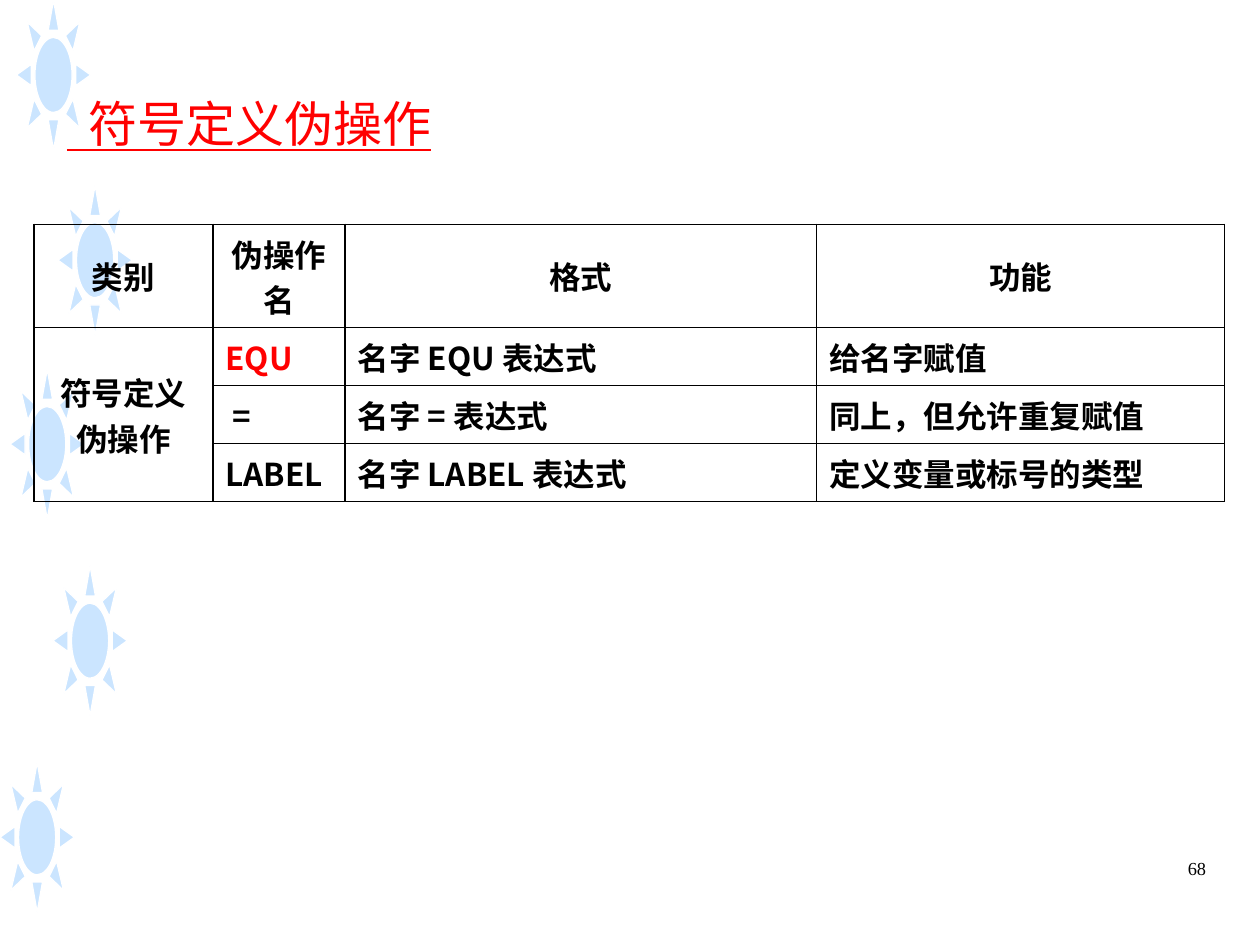
"""Build the slide on symbol definition directives."""
from lxml import etree
from pptx import Presentation
from pptx.dml.color import RGBColor
from pptx.enum.shapes import MSO_SHAPE
from pptx.enum.text import MSO_ANCHOR, PP_ALIGN
from pptx.oxml.ns import qn
from pptx.util import Inches, Pt

SUN = MSO_SHAPE.SUN
TOP, MIDDLE = MSO_ANCHOR.TOP, MSO_ANCHOR.MIDDLE
LEFT, CENTER, RIGHT = PP_ALIGN.LEFT, PP_ALIGN.CENTER, PP_ALIGN.RIGHT
BLACK = RGBColor(0, 0, 0)
RED = RGBColor(255, 0, 0)
SKY = RGBColor(153, 204, 255)
WHITE = RGBColor(255, 255, 255)
SANS, SERIF = "Noto Sans CJK SC", "Times New Roman"

SUNS = [(0.13, 0), (0.46, 1.47), (0.08, 2.93), (0.42, 4.49), (0, 6.05)]
COLS = [1.42, 1.05, 3.74, 3.24]
ROWS = [0.82, 0.46, 0.46, 0.46]
CELLS = [
    ["类别", "伪操作名", "格式", "功能"],
    ["符号定义伪操作", "EQU", "名字 EQU 表达式", "给名字赋值"],
    ["", " =", "名字 = 表达式", "同上，但允许重复赋值"],
    ["", "LABEL", "名字 LABEL 表达式", "定义变量或标号的类型"],
]


def style(item, **values):
    """Set each value as an attribute of the item."""
    for name, value in values.items():
        setattr(item, name, value)


def write(frame, text, align, color, **values):
    """Put one formatted line of text in the frame."""
    para = frame.paragraphs[0]
    para.alignment = align
    run = para.add_run()
    run.text = text
    style(run.font, **values)
    run.font.color.rgb = color
    east = etree.SubElement(run.font._element, qn("a:ea"))
    east.set("typeface", SANS)
    return para


def add_sun(slide, left, top):
    """Draw a half transparent sun."""
    sun = slide.shapes.add_shape(
        SUN, Inches(left), Inches(top), Inches(0.59), Inches(1.19))
    sun.shadow.inherit = False
    sun.fill.solid()
    sun.fill.fore_color.rgb = SKY
    tint = sun._element.spPr.find(qn("a:solidFill"))[0]
    etree.SubElement(tint, qn("a:alpha")).set("val", "50000")
    sun.line.color.rgb = WHITE
    sun.line.width = Pt(0.75)


def add_edges(cell):
    """Give the cell a thin black border on all sides."""
    props = cell._tc.get_or_add_tcPr()
    for side in ("lnL", "lnR", "lnT", "lnB"):
        line = etree.SubElement(props, qn("a:" + side), w=str(Pt(1)))
        fill = etree.SubElement(line, qn("a:solidFill"))
        etree.SubElement(fill, qn("a:srgbClr"), val=str(BLACK))


def add_grid(slide):
    """Add the table of directives."""
    grid = slide.shapes.add_table(
        len(ROWS), len(COLS), Inches(0.27), Inches(1.78),
        Inches(sum(COLS)), Inches(sum(ROWS))).table
    style(grid, first_row=False, horz_banding=False)
    for col, width in zip(grid.columns, COLS):
        col.width = Inches(width)
    for row, height in zip(grid.rows, ROWS):
        row.height = Inches(height)
    grid.cell(1, 0).merge(grid.cell(3, 0))
    for r, texts in enumerate(CELLS):
        for c, text in enumerate(texts):
            cell = grid.cell(r, c)
            cell.vertical_anchor = MIDDLE
            add_edges(cell)
            cell.fill.background()
            if text:
                write(cell.text_frame, text,
                      CENTER if r == 0 or c == 0 else LEFT,
                      RED if text == "EQU" else BLACK,
                      name=SANS, size=Pt(18), bold=True)


def add_title(slide):
    """Place the underlined title in front."""
    title = slide.shapes.title
    style(title, left=Inches(0.43), top=Inches(0.6),
          width=Inches(4.61), height=Inches(0.66))
    style(title.text_frame, vertical_anchor=TOP, word_wrap=True)
    para = write(title.text_frame, "  符号定义伪操作", LEFT, RED,
                 name=SERIF, size=Pt(28), underline=True)
    style(para, line_spacing=1.2, space_before=Pt(0))
    slide.shapes._spTree.append(title._element)


def add_number(slide):
    """Add the page number."""
    box = slide.shapes.add_textbox(
        Inches(7.17), Inches(6.75), Inches(2.5), Inches(0.52))
    box.text_frame.word_wrap = True
    write(box.text_frame, "68", RIGHT, BLACK, name=SERIF, size=Pt(10.5))


def main():
    """Build and save the slide."""
    deck = Presentation()
    style(deck, slide_width=Inches(10), slide_height=Inches(7.5))
    slide = deck.slides.add_slide(deck.slide_layouts[5])
    for left, top in SUNS:
        add_sun(slide, left, top)
    add_number(slide)
    add_grid(slide)
    add_title(slide)
    deck.save("out.pptx")


if __name__ == "__main__":
    main()
